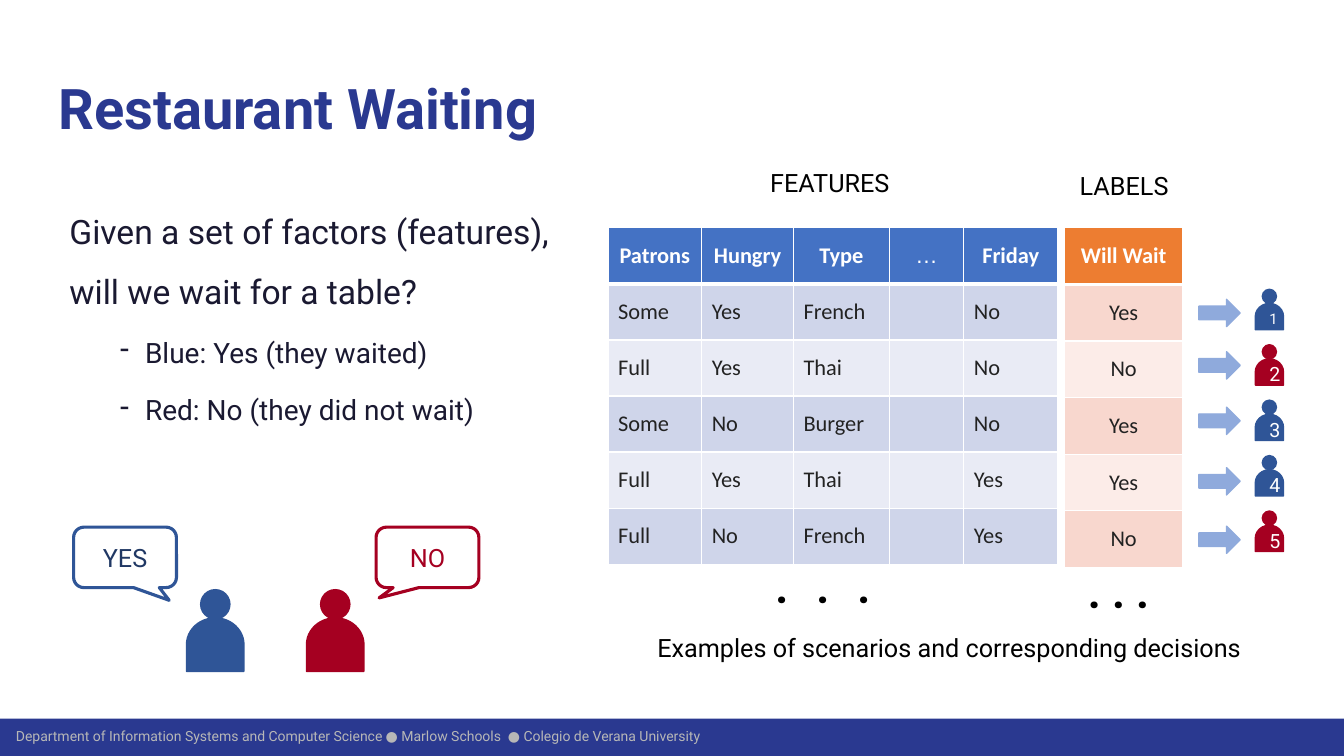
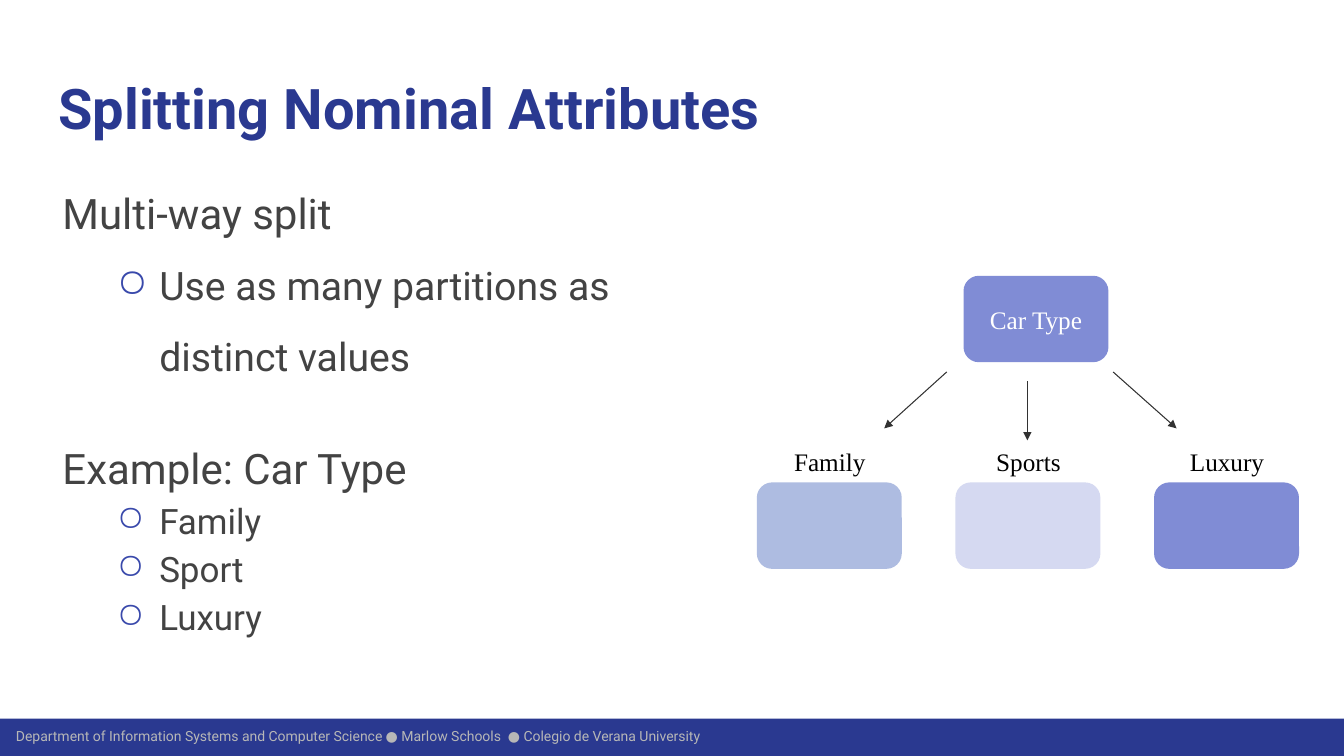
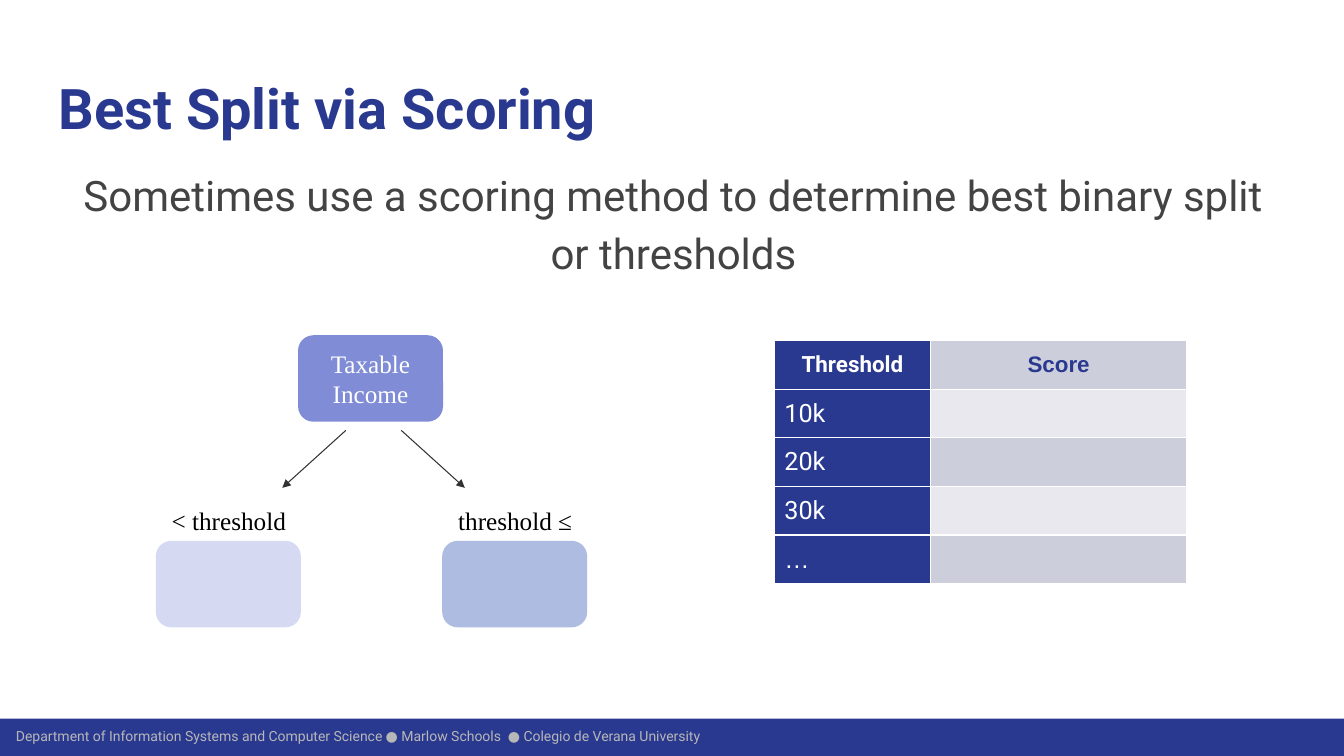
from dataclasses import dataclass

from pptx import Presentation
from pptx import util as u
from pptx.dml import color
from pptx.enum import shapes, text
from pptx.oxml import ns
from lxml import etree

SHAPE = shapes.MSO_SHAPE
LEFT, MID = text.PP_ALIGN.LEFT, text.PP_ALIGN.CENTER
TOP, HALF = text.MSO_ANCHOR.TOP, text.MSO_ANCHOR.MIDDLE
SCALE = 9144


@dataclass(frozen=True)
class Theme:
    navy: str = "2A3990"
    white: str = "FFFFFF"
    black: str = "000000"
    gray: str = "434343"
    pale: str = "B7B7B7"
    night: str = "1A1931"
    cell: str = "222222"
    blue: str = "2F5597"
    deep: str = "203864"
    red: str = "A50021"
    arrow: str = "8FAADC"
    line: str = "323232"
    mark: str = "3949AB"
    iris: str = "808CD5"
    sky: str = "AEBCE1"
    mist: str = "D5D9F1"
    cool: tuple = ("4472C4", "CFD5EA", "E9EBF5")
    warm: tuple = ("ED7D31", "F8D7CE", "FCECE8")
    score: tuple = ("CDCEDB", "E8E8EE")
    sans: str = "Roboto"
    serif: str = "Times New Roman"
    grid: str = "Calibri"
    plain: str = "Arial"
    title: float = 40
    dots: float = 32
    lead: float = 30
    point: float = 28
    item: float = 25
    body: float = 24
    sub: float = 20
    label: float = 18
    table: float = 16
    count: float = 14
    foot: float = 10


T = Theme()


def px(n):
    return u.Emu(round(n * SCALE))


def rgb(code):
    return color.RGBColor.from_string(code)


def node(parent, tag, **attrs):
    return etree.SubElement(parent, ns.qn(tag), attrs)


class Deck:
    def __init__(self):
        self.show = Presentation()
        self.show.slide_width, self.show.slide_height = px(1333), px(750)
        self.slide = None

    def page(self, title):
        self.slide = self.show.slides.add_slide(self.show.slide_layouts[6])
        self.shape(SHAPE.RECTANGLE, 0, 713, 1333, 37, T.navy)
        foot = self.box(6, 718, 1000, 24, 10, HALF)
        self.say(foot, "Department of Information Systems and Computer Science "
                 "● Marlow Schools  ● Colegio de Verana University", T.foot, T.pale)
        self.say(self.box(45, 60, 1242, 89, 13), title, T.title, T.navy, bold=True)

    def box(self, x, y, w, h, inset=None, anchor=TOP):
        frame = self.slide.shapes.add_textbox(px(x), px(y), px(w), px(h)).text_frame
        frame.word_wrap = True
        frame.vertical_anchor = anchor
        if inset:
            frame.margin_left = frame.margin_right = px(inset)
            frame.margin_top = frame.margin_bottom = px(inset)
        return frame

    def say(self, frame, words, size, ink, font=T.sans, bold=False, align=LEFT,
            lines=None, before=None, left=0, hang=0, mark=None, tint=None, track=0):
        para = frame.paragraphs[0]
        if para.runs:
            para = frame.add_paragraph()
        para.alignment = align
        if lines:
            para.line_spacing = lines
        if before:
            para.space_before = u.Pt(before)
        props = para._p.get_or_add_pPr()
        if left:
            props.set("marL", str(px(left)))
            props.set("indent", str(px(-hang)))
        if tint:
            node(node(props, "a:buClr"), "a:srgbClr", val=tint)
        if mark:
            node(props, "a:buChar", char=mark)
        run = para.add_run()
        run.text = words
        run.font.size, run.font.name, run.font.bold = u.Pt(size), font, bold
        run.font.color.rgb = rgb(ink)
        if track:
            run._r.get_or_add_rPr().set("spc", str(track * 100))

    def label(self, x, y, w, h, words, size=T.label, align=MID, **style):
        self.say(self.box(x, y, w, h), words, size, T.black, align=align, **style)

    def shape(self, kind, x, y, w, h, fill=None, edge=None, width=1):
        form = self.slide.shapes.add_shape(kind, px(x), px(y), px(w), px(h))
        form.shadow.inherit = False
        if fill:
            form.fill.solid()
            form.fill.fore_color.rgb = rgb(fill)
        else:
            form.fill.background()
        if edge:
            form.line.color.rgb = rgb(edge)
            form.line.width = u.Pt(width)
        else:
            form.line.fill.background()
        form.text_frame.vertical_anchor = HALF
        return form

    def person(self, x, y, head, fill, words="", size=T.count):
        wide, high = round(head * 1.83), round(head * 1.97)
        self.shape(SHAPE.FLOWCHART_CONNECTOR, x + (wide - head) // 2, y,
                   head, head, fill, fill)
        torso = self.shape(SHAPE.FLOWCHART_DELAY, x, y + round(head * 0.9),
                           wide, high, fill, fill)
        torso.rotation = 270
        if words:
            frame = torso.text_frame
            frame._txBody.bodyPr.set("vert", "eaVert")
            self.say(frame, words, size, T.white, align=MID)

    def bubble(self, x, y, words, edge, ink, tip):
        form = self.shape(SHAPE.ROUNDED_RECTANGULAR_CALLOUT, x, y, 102, 60,
                          edge=edge, width=2.25)
        for i, value in enumerate((*tip, 0.17)):
            form.adjustments[i] = value
        self.say(form.text_frame, words, T.label, ink, align=MID)

    def block(self, x, y, fill, words=""):
        form = self.shape(SHAPE.ROUNDED_RECTANGLE, x, y, 141, 83, fill, fill, 2)
        if words:
            self.say(form.text_frame, words, T.label, T.white, T.serif, align=MID)

    def leaf(self, x, y, fill, words):
        self.block(x, y, fill)
        self.label(x - 21, y - 42, 184, 40, words, font=T.serif)

    def arrow(self, x, y, dx, dy):
        link = self.slide.shapes.add_connector(
            shapes.MSO_CONNECTOR.STRAIGHT, px(x), px(y), px(x + dx), px(y + dy))
        link.line.color.rgb = rgb(T.line)
        link.line.width = u.Pt(0.75)
        node(link.line._get_or_add_ln(), "a:tailEnd", type="triangle")
        node(link._element.spPr, "a:effectLst")

    def grid(self, x, y, cols, high, rows, look, rule=1):
        table = self.slide.shapes.add_table(
            len(rows), len(cols), px(x), px(y), px(sum(cols)), px(high)).table
        table.first_row = table.horz_banding = False
        for col, wide in zip(table.columns, cols):
            col.width = px(wide)
        for r, words in enumerate(rows):
            table.rows[r].height = px(high / len(rows))
            for c, word in enumerate(words):
                cell = table.cell(r, c)
                fill, style = look(r, c, word)
                props = cell._tc.get_or_add_tcPr()
                for side in "LRTB":
                    thick = (r, side) in ((0, "B"), (1, "T"))
                    width = u.Pt(rule if thick else 1)
                    edge = node(props, "a:ln" + side, w=str(width))
                    node(node(edge, "a:solidFill"), "a:srgbClr", val=T.white)
                cell.fill.solid()
                cell.fill.fore_color.rgb = rgb(fill)
                cell.vertical_anchor = HALF
                if word:
                    self.say(cell.text_frame, word, **style)


def bands(fills, align):
    def look(r, c, word):
        head = r == 0
        dots = word == "…"
        style = dict(size=T.table, ink=T.white if head else T.cell,
                     font=T.plain if dots else T.grid, bold=head and not dots,
                     align=MID if head else align)
        return fills[0 if head else 2 - r % 2], style
    return look


def scores(r, c, word):
    head = r == 0
    style = dict(size=T.table if head else T.label, ink=T.navy if c else T.white,
                 font=T.plain if c or word == "…" else T.sans,
                 bold=head, align=MID if head else LEFT)
    return T.score[r % 2] if c else T.navy, style


def waiting(deck):
    deck.page("Restaurant Waiting")
    deck.grid(603, 226, (93, 91, 95, 74, 93), 334, (
        ("Patrons", "Hungry", "Type", "…", "Friday"),
        ("Some", "Yes", "French", "", "No"),
        ("Full", "Yes", "Thai", "", "No"),
        ("Some", "No", "Burger", "", "No"),
        ("Full", "Yes", "Thai", "", "Yes"),
        ("Full", "No", "French", "", "Yes")), bands(T.cool, LEFT), 3)
    votes = ("Yes", "No", "Yes", "Yes", "No")
    deck.grid(1056, 226, (117,), 337, [(word,) for word in ("Will Wait", *votes)],
              bands(T.warm, MID), 3)
    deck.label(754, 161, 144, 40, "FEATURES", align=LEFT)
    deck.label(1043, 164, 144, 40, "LABELS")
    for i, (vote, y) in enumerate(zip(votes, (297, 349, 404, 464, 522))):
        deck.person(1246, 287 + 55 * i, 14, T.blue if vote == "Yes" else T.red,
                    str(i + 1), T.count if i else 10.5)
        deck.shape(SHAPE.RIGHT_ARROW, 1189, y, 41, 27, T.arrow, T.arrow)
    deck.label(754, 549, 144, 64, ". . . ", T.dots, bold=True, track=6)
    deck.label(1043, 554, 144, 64, ". . . ", T.dots, bold=True)
    deck.label(617, 622, 649, 40, "Examples of scenarios and corresponding decisions")
    body = deck.box(59, 184, 526, 407)
    deck.say(body, "Given a set of factors (features), will we wait for a table?",
             T.body, T.night, lines=1.5, before=10)
    for words in ("Blue: Yes (they waited)", "Red: No (they did not wait)"):
        deck.say(body, words, T.sub, T.night, lines=1.5, before=5,
                 left=75, hang=25, mark="-")
    deck.person(187, 585, 29, T.blue)
    deck.person(306, 585, 29, T.red)
    deck.bubble(73, 523, "YES", T.blue, T.deep, (0.43, 0.71))
    deck.bubble(373, 523, "NO", T.red, T.red, (-0.47, 0.67))


def nominal(deck):
    deck.page("Splitting Nominal Attributes")
    body = deck.box(45, 148, 630, 391, 13)
    dot = dict(left=100, hang=42, mark="○", tint=T.mark)
    deck.say(body, "Multi-way split", T.lead, T.gray, lines=1.5, left=4)
    deck.say(body, "Use as many partitions as distinct values",
             T.point, T.gray, lines=1.5, **dot)
    deck.say(body, "Example: Car Type", T.lead, T.gray, lines=1.15, before=40, left=4)
    for words in ("Family", "Sport", "Luxury"):
        deck.say(body, words, T.item, T.gray, lines=1.15, **dot)
    deck.block(957, 275, T.iris, "Car Type")
    leaves = (("Family", T.sky), ("Sports", T.mist), ("Luxury", T.iris))
    for i, (words, fill) in enumerate(leaves):
        deck.leaf(752 + 197 * i, 480, fill, words)
    deck.arrow(939, 369, -62, 56)
    deck.arrow(1019, 378, 0, 59)
    deck.arrow(1104, 369, 63, 56)


def scoring(deck):
    deck.page("Best Split via Scoring")
    deck.say(deck.box(45, 148, 1242, 561, 13),
             "Sometimes use a scoring method to determine best binary split or thresholds",
             T.lead, T.gray, align=MID, lines=1.15, left=4)
    deck.block(297, 334, T.iris, "Taxable Income")
    deck.leaf(156, 538, T.mist, "< threshold")
    deck.leaf(440, 538, T.sky, "threshold ≤")
    deck.arrow(343, 427, -63, 57)
    deck.arrow(398, 427, 63, 57)
    deck.grid(768, 338, (155, 254), 241, (
        ("Threshold", "Score"), ("10k", ""), ("20k", ""), ("30k", ""), ("…", "")), scores)


def main():
    deck = Deck()
    for build in (waiting, nominal, scoring):
        build(deck)
    deck.show.save("out.pptx")


if __name__ == "__main__":
    main()
